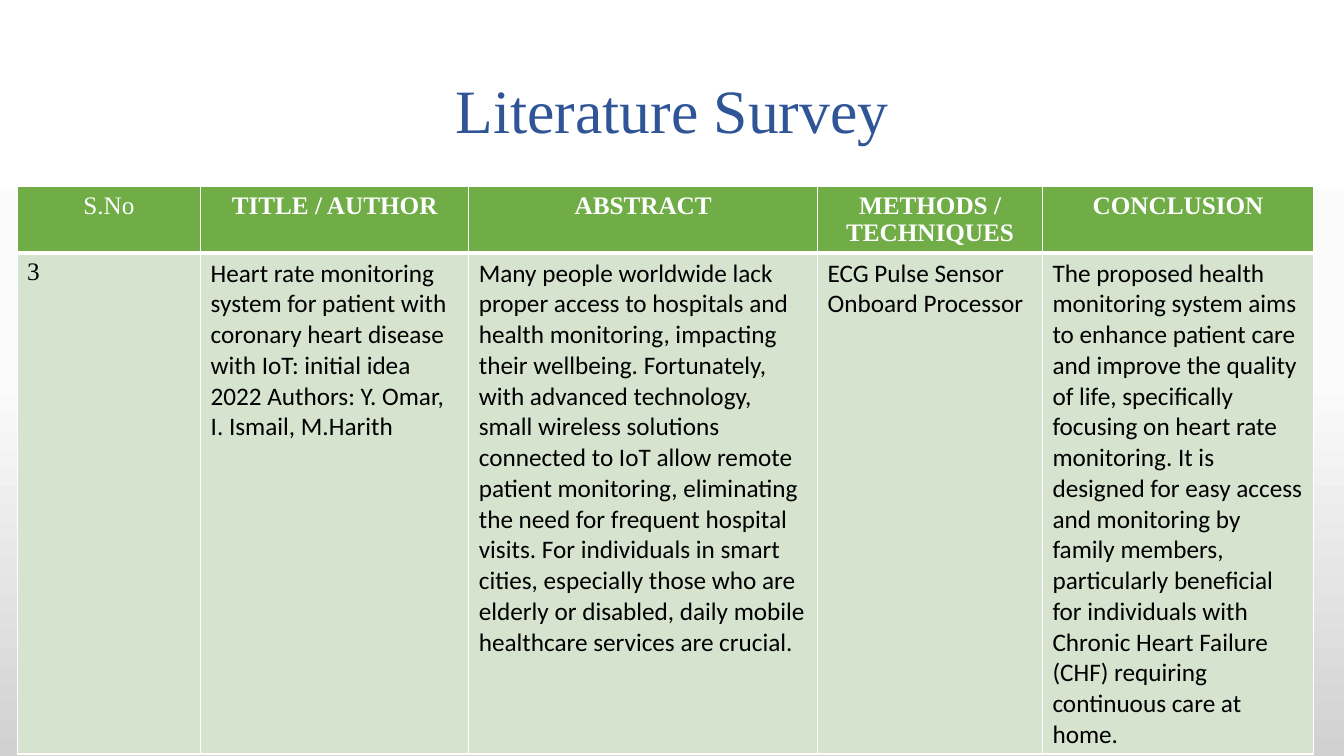
from copy import deepcopy

from lxml.etree import SubElement
from pptx import Presentation
from pptx.dml.color import RGBColor
from pptx.enum.text import MSO_ANCHOR as Anchor, PP_ALIGN as Align
from pptx.oxml.ns import qn
from pptx.util import Inches, Pt

WHITE = RGBColor(0xFF, 0xFF, 0xFF)
BLACK = RGBColor(0x00, 0x00, 0x00)
BLUE = RGBColor(0x2F, 0x55, 0x97)
GREEN = RGBColor(0x70, 0xAD, 0x47)
PALE_GREEN = RGBColor(0xD5, 0xE3, 0xCF)
BACKDROP = [(0, WHITE), (0.5, RGBColor(0xFB, 0xFB, 0xFB)), (1, RGBColor(0xD1, 0xD1, 0xD1))]

SERIF, SANS = "Times New Roman", "Calibri"
SLIDE_SIZE = (13.33, 7.5)
TITLE_BOX = (0.92, 0.4, 11.5, 1.45)
TABLE_BOX = (0.17, 1.85, 12.86, 5.54)
COLUMNS = [1.82, 2.66, 3.46, 2.23, 2.69]
ROWS = [0.57, 4.97]

HEADINGS = ["S.No", "TITLE / AUTHOR", "ABSTRACT", "METHODS / TECHNIQUES", "CONCLUSION"]
ENTRY = [
    "3",
    "Heart rate monitoring system for patient with coronary heart disease with IoT: "
    "initial idea 2022 Authors: Y. Omar, I. Ismail, M.Harith",
    "Many people worldwide lack proper access to hospitals and health monitoring, "
    "impacting their wellbeing. Fortunately, with advanced technology, small wireless "
    "solutions connected to IoT allow remote patient monitoring, eliminating the need "
    "for frequent hospital visits. For individuals in smart cities, especially those who "
    "are elderly or disabled, daily mobile healthcare services are crucial.",
    "ECG Pulse Sensor Onboard Processor",
    "The proposed health monitoring system aims to enhance patient care and improve the "
    "quality of life, specifically focusing on heart rate monitoring. It is designed for "
    "easy access and monitoring by family members, particularly beneficial for individuals "
    "with Chronic Heart Failure (CHF) requiring continuous care at home.",
]


def write(para, text, size, font, color, bold=False, align=Align.LEFT):
    para.alignment = align
    span = para.add_run()
    span.text = text
    span.font.size = Pt(size)
    span.font.name = font
    span.font.bold = bold
    span.font.color.rgb = color


def paint_background(page):
    fill = page.background.fill
    fill.gradient()
    fill.gradient_angle = 270
    # A new gradient has two stops; add the middle one
    stop_list = page.element.find(".//" + qn("a:gsLst"))
    stop_list.insert(1, deepcopy(stop_list[0]))
    for stop, (position, color) in zip(fill.gradient_stops, BACKDROP):
        stop.position = position
        stop.color.rgb = color


def add_title(page, box):
    frame = page.shapes.add_textbox(*map(Inches, box)).text_frame
    frame.word_wrap = True
    frame.vertical_anchor = Anchor.MIDDLE
    para = frame.paragraphs[0]
    para.line_spacing = 0.9
    write(para, "Literature Survey", 44, SERIF, BLUE, align=Align.CENTER)


def style_cell(cell, color, bottom):
    properties = cell._tc.get_or_add_tcPr()
    for side, width in (("L", 1), ("R", 1), ("T", 1), ("B", bottom)):
        line = SubElement(properties, qn(f"a:ln{side}"), w=str(Pt(width)))
        solid = SubElement(line, qn("a:solidFill"))
        SubElement(solid, qn("a:srgbClr"), val=str(WHITE))
    cell.fill.solid()
    cell.fill.fore_color.rgb = color


def fill_heading(cell, text, numbered):
    style_cell(cell, GREEN, 3)
    cell.margin_bottom = Inches(0.01)
    write(cell.text_frame.paragraphs[0], text, 18, SERIF, WHITE, not numbered, Align.CENTER)


def fill_entry(cell, text, numbered):
    style_cell(cell, PALE_GREEN, 1)
    write(cell.text_frame.paragraphs[0], text, 18, SERIF if numbered else SANS, BLACK)


def add_survey_table(page, box):
    table = page.shapes.add_table(len(ROWS), len(COLUMNS), *map(Inches, box)).table
    for column, width in zip(table.columns, COLUMNS):
        column.width = Inches(width)
    for row, height in zip(table.rows, ROWS):
        row.height = Inches(height)
    for index, (heading, entry) in enumerate(zip(HEADINGS, ENTRY)):
        # Only the number column has a plain heading and a serif entry
        numbered = index == 0
        fill_heading(table.cell(0, index), heading, numbered)
        fill_entry(table.cell(1, index), entry, numbered)


def main():
    deck = Presentation()
    deck.slide_width, deck.slide_height = map(Inches, SLIDE_SIZE)
    page = deck.slides.add_slide(deck.slide_layouts[6])
    paint_background(page)
    add_title(page, TITLE_BOX)
    add_survey_table(page, TABLE_BOX)
    deck.save("out.pptx")


if __name__ == "__main__":
    main()
